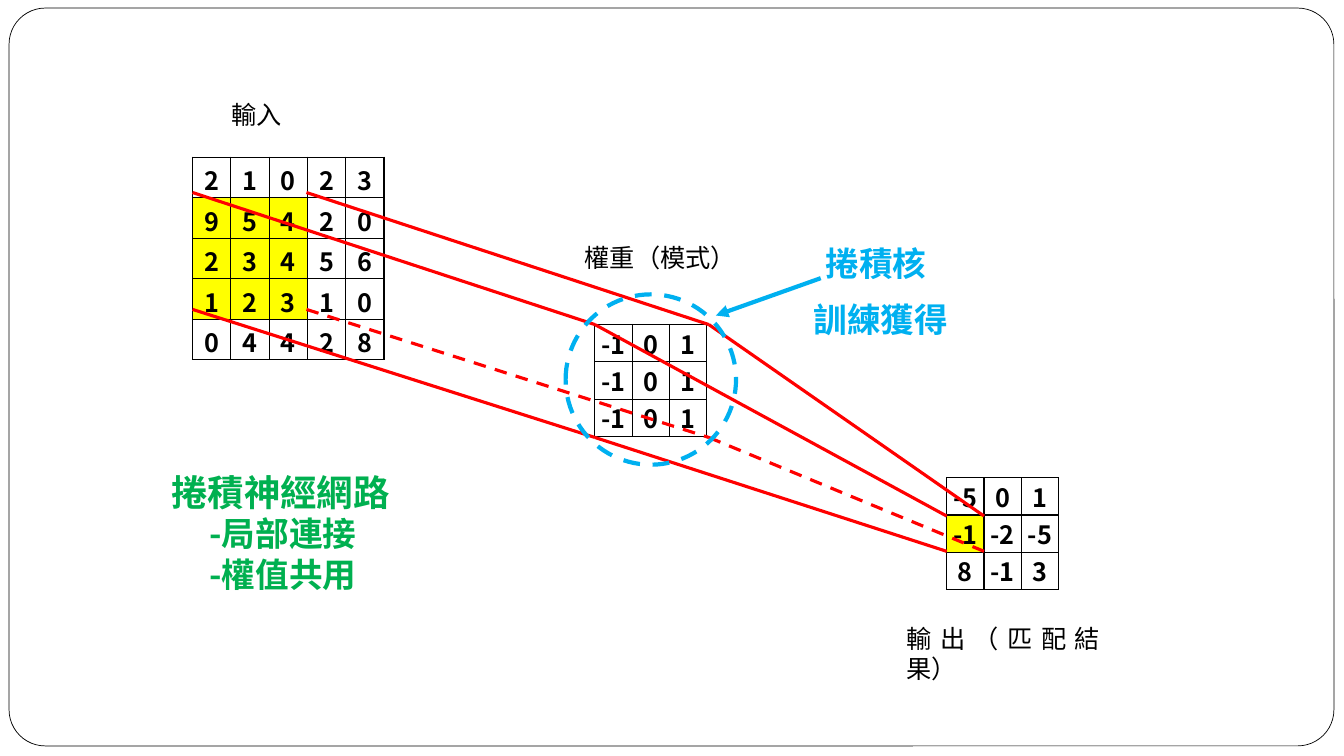
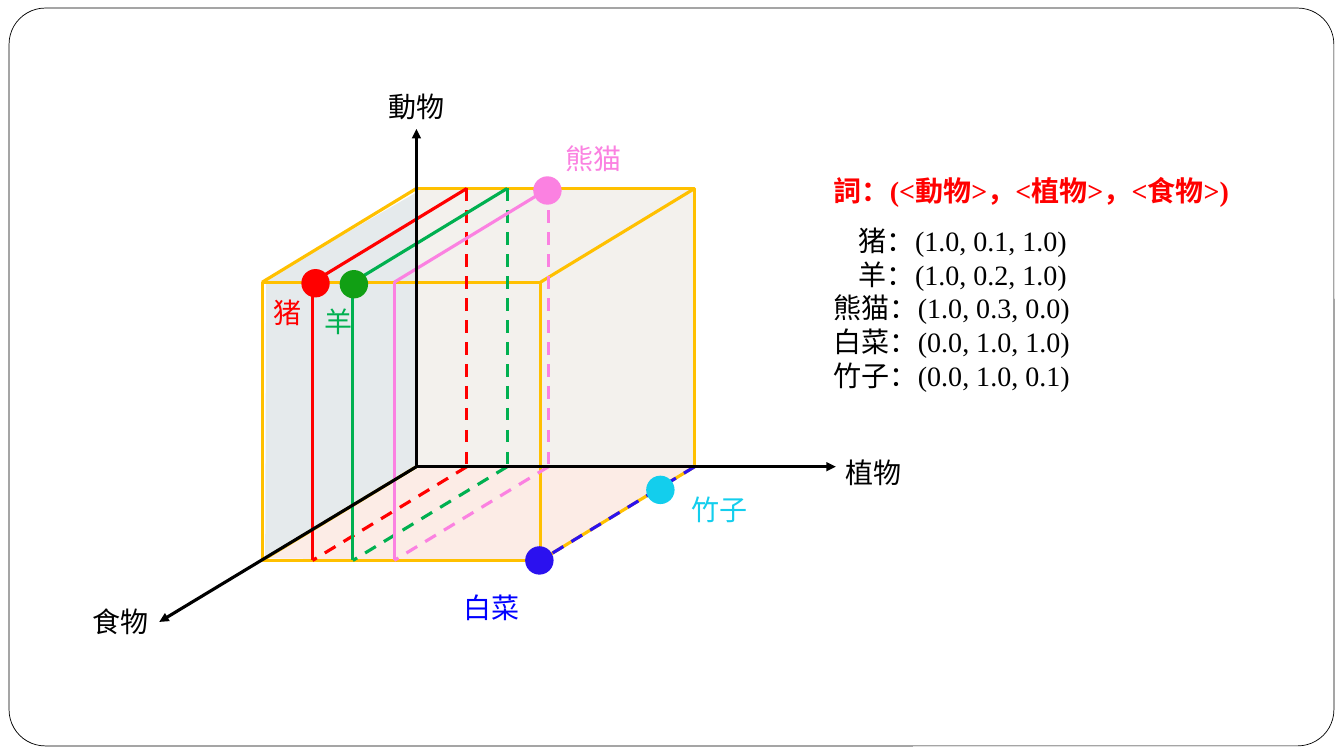
from itertools import product

from lxml import etree
from pptx import Presentation
from pptx.dml.color import RGBColor
from pptx.enum import dml, shapes, text
from pptx.oxml.ns import qn
from pptx.util import Inches, Pt


class Theme:
    black, white, red, yellow = "000000", "FFFFFF", "FF0000", "FFFF00"
    sky, green, gold = "00B0F0", "00B050", "FFC000"
    pink, indigo, blue, cyan, leaf = "FB81E1", "2B11EF", "0000FF", "13CEED", "119F14"
    side, wall, floor = "B8C7CC", "E9E5DC", "FAD9CD"
    sans, serif = "Noto Sans CJK SC", "Times New Roman"
    body, label, accent, heading = 18, 20, 24, 26
    thin, line, bold = 0.5, 2.25, 3


T = Theme
LEFT, JUSTIFY = text.PP_ALIGN.LEFT, text.PP_ALIGN.JUSTIFY

# Convolution: left, top, cell size, top inset, rows, highlighted cells
GRIDS = [
    (1.91, 1.56, 0.38, 0.37, 0.04,
     ["2 1 0 2 3", "9 5 4 2 0", "2 3 4 5 6", "1 2 3 1 0", "0 4 4 2 8"],
     set(product((1, 2, 3), (0, 1, 2)))),
    (5.9, 3.22, 0.37, 0.37, 0, ["-1 0 1"] * 3, set()),
    (9.39, 4.74, 0.37, 0.37, 0, ["-5 0 1", "-1 -2 -5", "8 -1 3"], {(1, 0)}),
]
# Input window, kernel and output cell: (left, right), (top, bottom)
WINDOWS = [
    ((1.91, 3.04), (1.91, 3.07)),
    ((5.9, 7.03), (3.22, 4.34)),
    ((9.39, 9.76), (5.12, 5.47)),
]
# Box, text, size, colour, bold, alignment
CAPTIONS = [
    ((8.89, 6.13, 2.12, 0.48), "輸出（匹配結果）", T.body, T.black, False, JUSTIFY),
    ((5.7, 2.35, 1.73, 0.44), "權重（模式）", T.body, T.black, False, LEFT),
    ((2.2, 0.94, 0.83, 0.46), "輸入", T.body, T.black, False, JUSTIFY),
    ((8.09, 2.36, 1.3, 0.44), "捲積核", T.accent, T.sky, True, LEFT),
    ((7.97, 2.92, 1.62, 0.48), "訓練獲得", T.accent, T.sky, True, LEFT),
]
# Text, size, indent
FEATURES = [
    ("捲積神經網路", T.heading, 0),
    ("-局部連接", T.accent, 0.38),
    ("-權值共用", T.accent, 0.38),
]

# Word space: back square, its depth offset, axes and planes
ORIGIN, EDGE, DEPTH = (4.13, 4.63), 2.76, (-1.53, 0.93)
AXIS_ENDS = [(4.13, 1.28), (8.29, 4.63), (1.58, 6.17)]
SIDE = [(4.13, 1.91), (4.14, 4.63), (2.63, 5.54), (2.64, 2.77)]
FLOOR = [(2.63, 5.54), (4.16, 4.64), (6.9, 4.61), (5.37, 5.57)]
PLANES = [(4.63, T.red), (5.03, T.green), (5.44, T.pink)]
DOTS = [
    (3.13, 2.81, T.red), (3.51, 2.82, T.leaf), (5.43, 1.89, T.pink),
    (5.35, 5.56, T.indigo), (6.55, 4.86, T.cyan),
]
LABELS = [
    (8.29, 4.47, "植物", T.black), (3.76, 0.84, "動物", T.black),
    (0.82, 5.95, "食物", T.black), (5.51, 1.35, "熊猫", T.pink),
    (4.5, 5.81, "白菜", T.blue), (2.61, 2.88, "猪", T.red),
    (3.12, 2.97, "羊", T.green), (6.76, 4.84, "竹子", T.cyan),
]
VECTOR_TITLE = "詞：(<動物>，<植物>，<食物>)"
VECTORS = [
    ("猪：(1.0, 0.1, 1.0)", 0.25),
    ("羊：(1.0, 0.2, 1.0)", 0.25),
    ("熊猫：(1.0, 0.3, 0.0)", 0),
    ("白菜：(0.0, 1.0, 1.0)", 0),
    ("竹子：(0.0, 1.0, 0.1)", 0),
]


# Helpers
def rgb(color):
    return RGBColor.from_string(color)


def add_run(p, words, size, color, bold=False, font=T.sans):
    r = p.add_run()
    r.text = words
    r.font.size, r.font.bold = Pt(size), bold
    r.font.color.rgb = rgb(color)
    r.font.name = font
    etree.SubElement(r._r.get_or_add_rPr(), qn("a:ea"), typeface=T.sans)


def add_text(s, box, paras, wrap=True):
    """Each paragraph is (run arguments, alignment, indent, space after)."""
    tf = s.shapes.add_textbox(*map(Inches, box)).text_frame
    tf.word_wrap = wrap
    if not wrap:
        tf.auto_size = text.MSO_AUTO_SIZE.SHAPE_TO_FIT_TEXT
    for i, (run, align, indent, after) in enumerate(paras):
        p = tf.add_paragraph() if i else tf.paragraphs[0]
        p.alignment = align
        if indent:
            p._p.get_or_add_pPr().set("marL", str(Inches(indent)))
        if after:
            p.space_after = Pt(after)
        add_run(p, *run)


def paint(sp, fill=None, alpha=None, line=None, width=T.line, dash=False):
    sp.shadow.inherit = False
    if fill:
        sp.fill.solid()
        sp.fill.fore_color.rgb = rgb(fill)
        if alpha:
            clr = sp._element.spPr.find(qn("a:solidFill"))[0]
            etree.SubElement(clr, qn("a:alpha"), val=str(alpha * 1000))
    else:
        sp.fill.background()
    if line:
        stroke(sp.line, line, width, dash)
    else:
        sp.line.fill.background()
    return sp


def stroke(line, color, width, dash):
    line.color.rgb = rgb(color)
    line.width = Pt(width)
    if dash:
        line.dash_style = dml.MSO_LINE.DASH


def add_shape(s, kind, box, **style):
    return paint(s.shapes.add_shape(kind, *map(Inches, box)), **style)


def add_face(s, points, fill, alpha):
    start, *rest = [(Inches(x), Inches(y)) for x, y in points]
    fb = s.shapes.build_freeform(*start, scale=1.0)
    fb.add_line_segments(rest, close=True)
    paint(fb.convert_to_shape(), fill, alpha)


def add_line(s, start, end, color, width=T.line, dash=False, arrow=False):
    c = s.shapes.add_connector(shapes.MSO_CONNECTOR.STRAIGHT, *map(Inches, (*start, *end)))
    stroke(c.line, color, width, dash)
    if arrow:
        etree.SubElement(c.line._get_or_add_ln(), qn("a:tailEnd"), type="triangle")
    etree.SubElement(c._element.spPr, qn("a:effectLst"))


def add_borders(cell):
    tcPr = cell._tc.get_or_add_tcPr()
    for i, edge in enumerate(("lnL", "lnR", "lnT", "lnB")):
        ln = etree.Element(qn("a:" + edge), w=str(Pt(1)))
        fill = etree.SubElement(ln, qn("a:solidFill"))
        etree.SubElement(fill, qn("a:srgbClr"), val=T.black)
        tcPr.insert(i, ln)


def add_grid(s, left, top, width, height, inset, rows, marked):
    rows = [row.split() for row in rows]
    n = len(rows)
    box = map(Inches, (left, top, n * width, n * height))
    table = s.shapes.add_table(n, n, *box).table
    table.first_row = table.horz_banding = False
    for i in range(n):
        table.columns[i].width = Inches(width)
        table.rows[i].height = Inches(height)
    for i, j in product(range(n), repeat=2):
        cell = table.cell(i, j)
        cell.margin_left = cell.margin_right = Inches(0.02)
        cell.margin_top, cell.margin_bottom = Inches(inset), 0
        cell.vertical_anchor = text.MSO_ANCHOR.MIDDLE
        if (i, j) in marked:
            cell.fill.solid()
            cell.fill.fore_color.rgb = rgb(T.yellow)
        else:
            cell.fill.background()
        add_borders(cell)
        p = cell.text_frame.paragraphs[0]
        p.alignment = text.PP_ALIGN.CENTER
        add_run(p, rows[i][j], T.body, T.black, True)


def add_frame(s):
    """Move the rounded frame to the layout that all slides share."""
    sp = add_shape(s, shapes.MSO_SHAPE.ROUNDED_RECTANGLE, (0.09, 0.08, 13.14, 7.32),
                   fill=T.white, line=T.black, width=T.thin)
    sp.adjustments[0] = 0.049
    s.slide_layout.shapes._spTree.append(sp._element)


# Slides
def build_convolution(s):
    for grid in GRIDS:
        add_grid(s, *grid)
    # Matching corners of successive windows
    for (xs, ys), (next_xs, next_ys) in zip(WINDOWS, WINDOWS[1:]):
        for i, j in product((0, 1), repeat=2):
            add_line(s, (xs[i], ys[j]), (next_xs[i], next_ys[j]), T.red, dash=i and j)
    add_shape(s, shapes.MSO_SHAPE.OVAL, (5.61, 2.92, 1.69, 1.69),
              line=T.sky, width=T.bold, dash=True)
    add_line(s, (8.14, 2.76), (7.1, 3.13), T.sky, T.bold, arrow=True)
    for box, words, size, color, bold, align in CAPTIONS:
        add_text(s, box, [((words, size, color, bold), align, 0, 0)])
    add_text(s, (1.6, 4.61, 2.46, 1.52),
             [((words, size, T.green, True), LEFT, indent, 0)
              for words, size, indent in FEATURES])


def build_word_space(s):
    left, bottom = ORIGIN
    right, top = left + EDGE, bottom - EDGE

    def front(x, y):
        return x + DEPTH[0], y + DEPTH[1]

    # Cube
    add_face(s, SIDE, T.side, 36)
    add_shape(s, shapes.MSO_SHAPE.RECTANGLE, (left, top, EDGE, EDGE),
              fill=T.wall, alpha=50, line=T.gold)
    add_face(s, FLOOR, T.floor, 49)
    for corner in product((left, right), (top, bottom)):
        add_line(s, corner, front(*corner), T.gold)
    add_shape(s, shapes.MSO_SHAPE.RECTANGLE, (*front(left, top), EDGE, EDGE), line=T.gold)
    add_line(s, (right, bottom), front(right, bottom), T.indigo, dash=True)
    # Animal planes: solid in front, dashed behind
    for x, color in PLANES:
        high, low = (x, top), (x, bottom)
        add_line(s, high, front(*high), color)
        add_line(s, front(*high), front(*low), color)
        add_line(s, high, low, color, dash=True)
        add_line(s, low, front(*low), color, dash=True)
    for end in AXIS_ENDS:
        add_line(s, ORIGIN, end, T.black, arrow=True)
    # Words
    size = 0.24
    for x, y, color in DOTS:
        add_shape(s, shapes.MSO_SHAPE.OVAL, (x - size / 2, y - size / 2, size, size),
                  fill=color, line=color, width=T.bold)
    for x, y, words, color in LABELS:
        box = (x, y, 0.2 + 0.28 * len(words), 0.44)
        add_text(s, box, [((words, T.label, color, False, T.serif), LEFT, 0, 0)], wrap=False)
    title = ((VECTOR_TITLE, T.label, T.red, True, T.serif), LEFT, 0, 12)
    add_text(s, (8.17, 1.67, 4.32, 2.29), [title] + [
        ((words, T.label, T.black, False, T.serif), LEFT, indent, 0)
        for words, indent in VECTORS])


def main():
    prs = Presentation()
    prs.slide_width, prs.slide_height = Inches(13.33), Inches(7.5)
    blank = prs.slide_layouts[6]
    for i, build in enumerate((build_convolution, build_word_space)):
        s = prs.slides.add_slide(blank)
        if i == 0:
            add_frame(s)
        build(s)
    prs.save("out.pptx")


if __name__ == "__main__":
    main()
